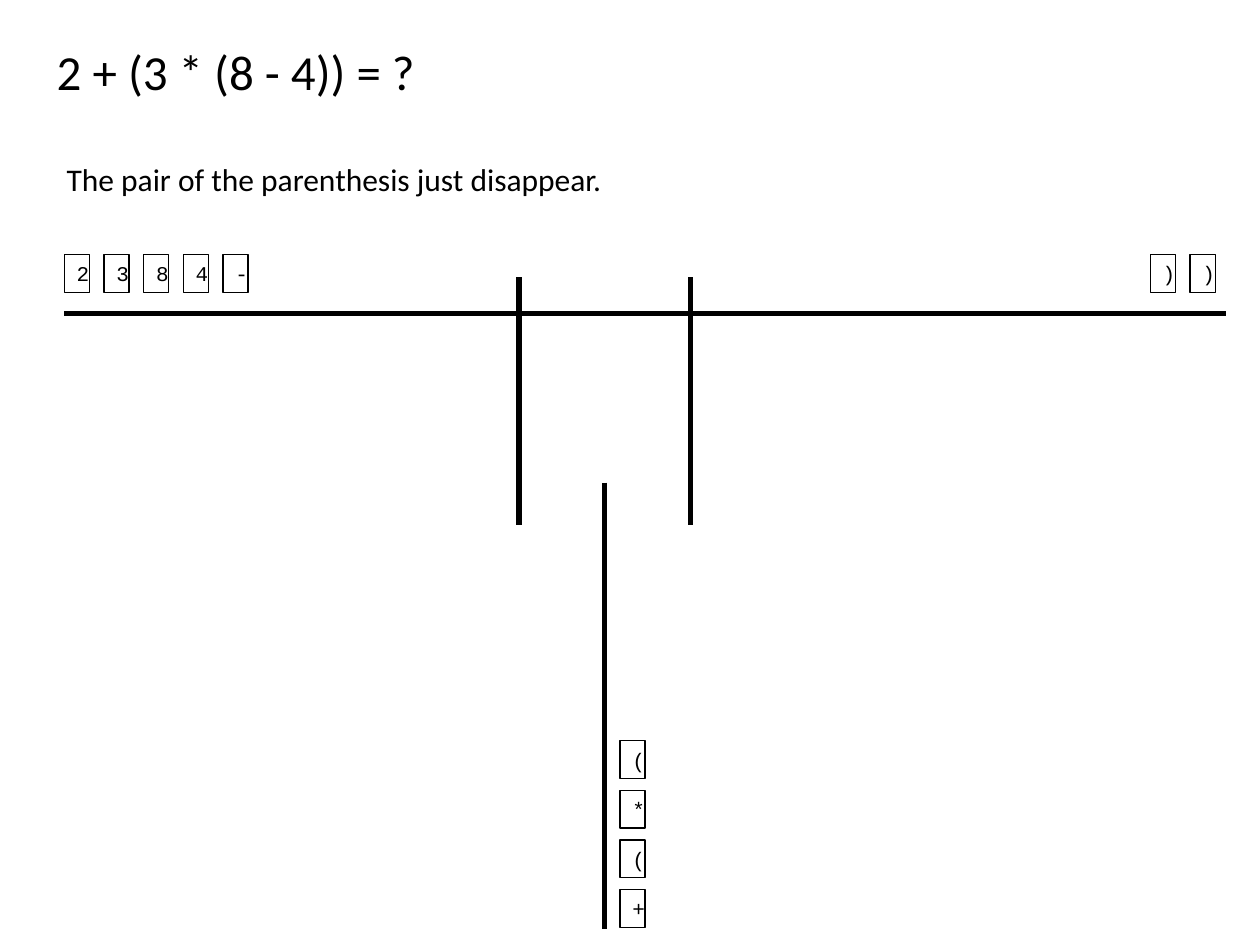
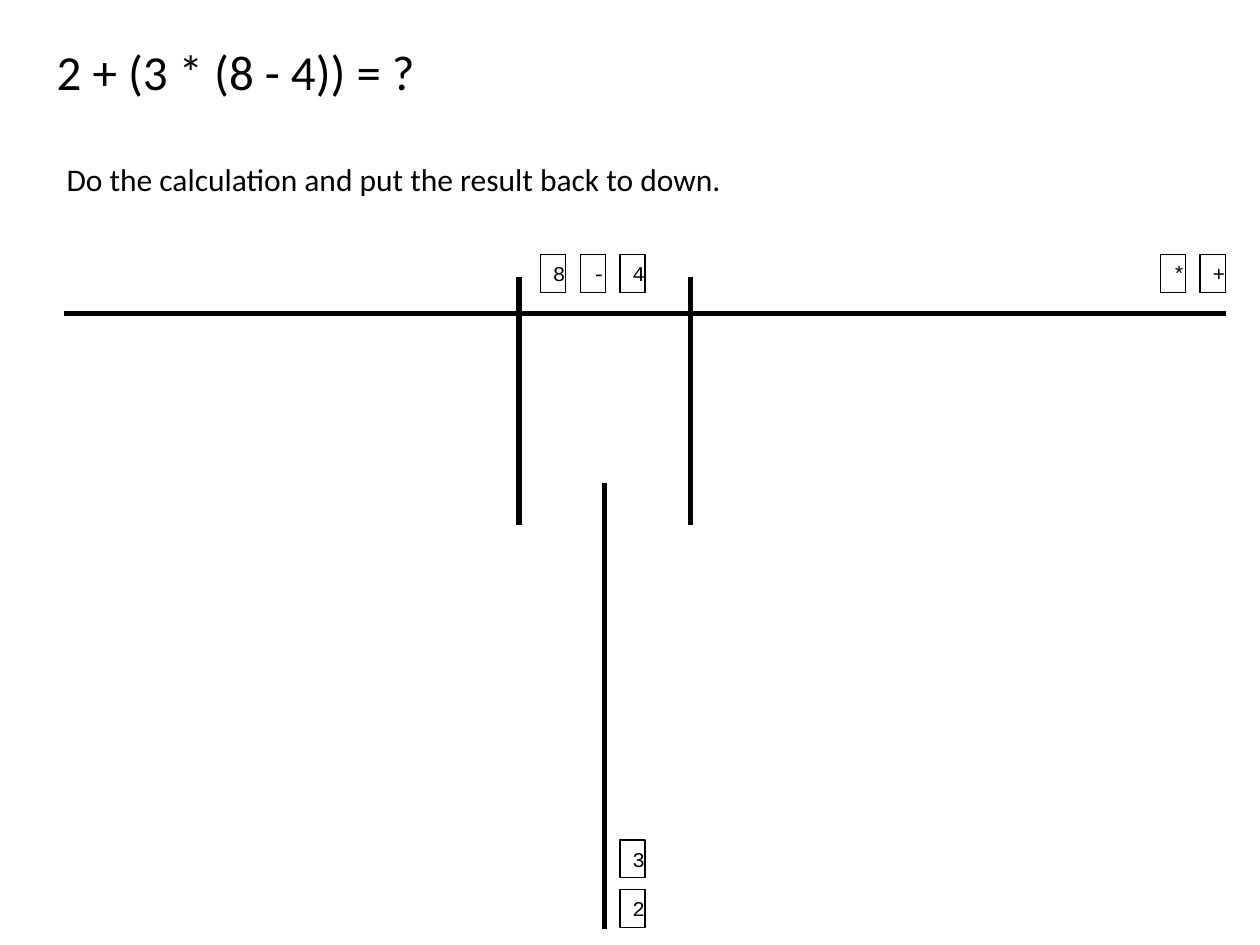
import pptx
import pptx.dml.color
import pptx.enum.shapes
import pptx.enum.text
import pptx.oxml.ns
import pptx.util
from pptx.util import Inches, Pt

COLORS = {"ink": "000000"}
HEADING_FONT, TILE_FONT = "Calibri", "Courier New"
EXPRESSION = "2 + (3 * (8 - 4)) = ?"

TILE_W, TILE_H = 0.2, 0.3
ROW_PITCH = 0.63 / 2       # two tiles across
STACK_PITCH = 1.18 / 3     # three tiles up
TRACK_TOP = 2.02           # top of tiles standing on the track
STACK_LEFT, STACK_BOTTOM = 4.92, 7.36

# Track, two gates and the siding wall: x1, y1, x2, y2
RAILS = [
    (9.73, 2.49, 0.51, 2.49),
    (4.12, 2.2, 4.12, 4.17),
    (5.48, 2.2, 5.48, 4.17),
    (4.8, 3.83, 4.8, 7.37),
]

# Rows are (left edge, tokens); the stack is listed from the bottom up
STEPS = [
    {"caption": "The pair of the parenthesis just disappear.",
     "rows": [(0.51, "2384-"), (9.13, "))")],
     "stack": "+(*("},
    {"caption": "Do the calculation and put the result back to down.",
     "rows": [(4.29, "8-4"), (9.21, "*+")],
     "stack": "23"},
]


def ink():
    return pptx.dml.color.RGBColor.from_string(COLORS["ink"])


def write(sp, text, font, size, align, anchor):
    tf = sp.text_frame
    tf.text = text
    tf.word_wrap = True
    tf.auto_size = pptx.enum.text.MSO_AUTO_SIZE.NONE
    tf.vertical_anchor = anchor
    p = tf.paragraphs[0]
    p.alignment = align
    r = p.runs[0]
    r.font.name = font
    r.font.size = Pt(size)
    r.font.color.rgb = ink()


def add_heading(s, caption):
    left = pptx.enum.text.PP_ALIGN.LEFT
    top = pptx.enum.text.MSO_ANCHOR.TOP
    title = s.shapes.title
    title.left, title.top = Inches(0.35), Inches(0.28)
    title.width, title.height = Inches(6.69), Inches(0.57)
    write(title, EXPRESSION, HEADING_FONT, 28, left, top)
    box = s.shapes.add_textbox(Inches(0.43), Inches(1.22), Inches(9.37), Inches(0.4))
    write(box, caption, HEADING_FONT, 18, left, top)


def add_tile(s, x, y, token):
    sp = s.shapes.add_shape(pptx.enum.shapes.MSO_SHAPE.RECTANGLE,
                            Inches(x), Inches(y), Inches(TILE_W), Inches(TILE_H))
    sp.shadow.inherit = False
    sp.fill.background()
    sp.line.color.rgb = ink()
    sp.line.width = Pt(0.75)
    write(sp, token, TILE_FONT, 12, pptx.enum.text.PP_ALIGN.CENTER,
          pptx.enum.text.MSO_ANCHOR.MIDDLE)


def add_row(s, left, top, tokens):
    for i, token in enumerate(tokens):
        add_tile(s, left + i * ROW_PITCH, top, token)


def add_stack(s, left, bottom, tokens):
    for i, token in enumerate(tokens):
        add_tile(s, left, bottom - TILE_H - i * STACK_PITCH, token)


def add_rails(s):
    for ends in RAILS:
        line = s.shapes.add_connector(pptx.enum.shapes.MSO_CONNECTOR.STRAIGHT,
                                      *[Inches(v) for v in ends])
        line.line.color.rgb = ink()
        line.line.width = Pt(3)
        effects = pptx.oxml.parse_xml(
            "<a:effectLst %s/>" % pptx.oxml.ns.nsdecls("a"))
        line._element.spPr.append(effects)


def add_step_slide(prs, step):
    s = prs.slides.add_slide(prs.slide_layouts.get_by_name("Title Only"))
    add_heading(s, step["caption"])
    for left, tokens in step["rows"]:
        add_row(s, left, TRACK_TOP, tokens)
    add_stack(s, STACK_LEFT, STACK_BOTTOM, step["stack"])
    add_rails(s)


def main():
    prs = pptx.Presentation()
    prs.slide_width, prs.slide_height = Inches(10), Inches(7.5)
    for step in STEPS:
        add_step_slide(prs, step)
    prs.save("out.pptx")


if __name__ == "__main__":
    main()
